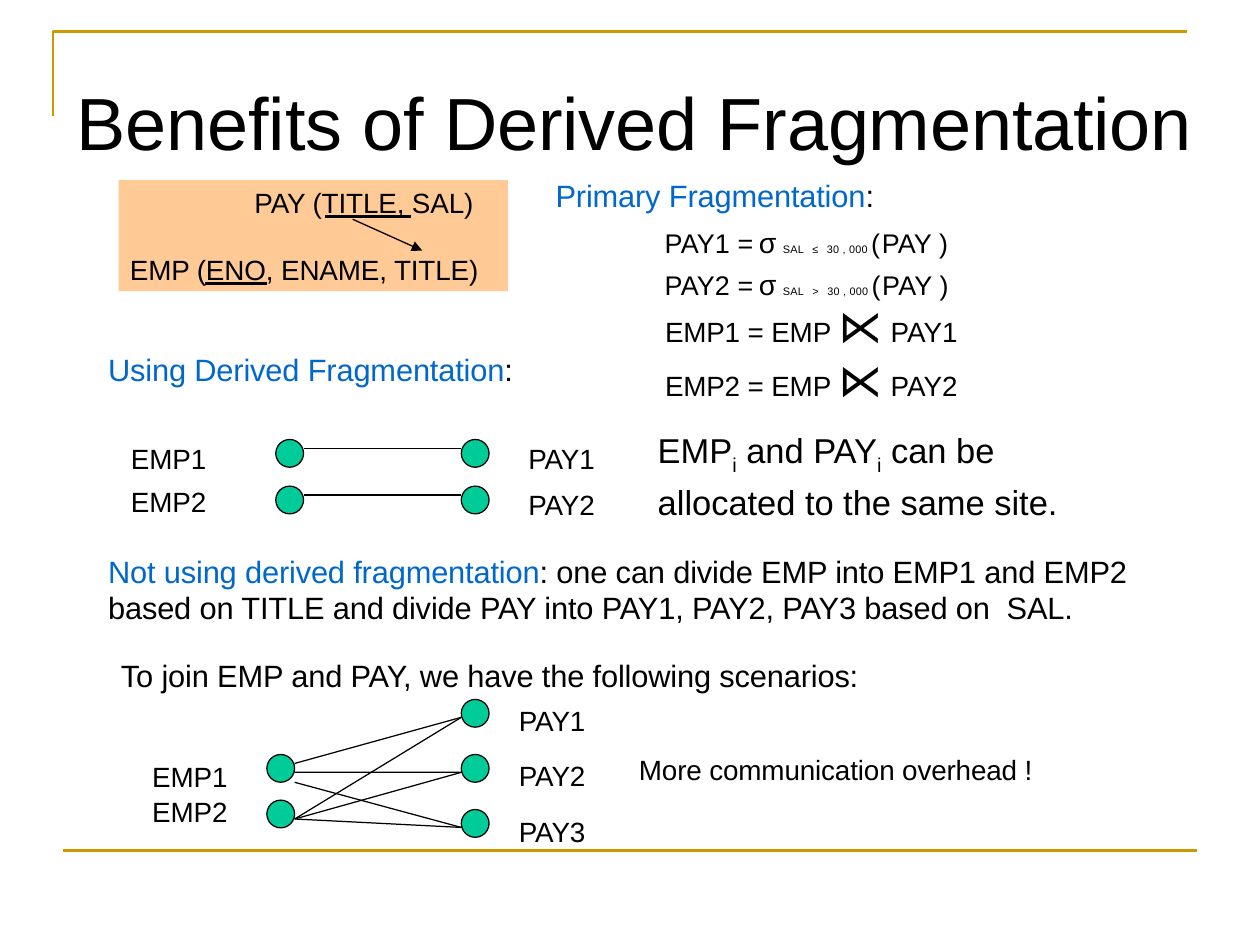
from lxml import etree
from pptx import Presentation
from pptx.dml.color import RGBColor
from pptx.enum.shapes import MSO_CONNECTOR, MSO_SHAPE
from pptx.oxml.ns import qn
from pptx.util import Cm, Pt

LINE = MSO_CONNECTOR.STRAIGHT
OVAL = MSO_SHAPE.OVAL
RECT = MSO_SHAPE.RECTANGLE

THEME = {
    "ink": RGBColor(0, 0, 0),
    "blue": RGBColor(0x00, 0x67, 0xCE),
    "gold": RGBColor(0xCC, 0x99, 0x00),
    "peach": RGBColor(0xFF, 0xCA, 0x95),
    "green": RGBColor(0x00, 0xCC, 0x9A),
    "font": "Arial", "symbol": "Noto Sans CJK JP",
    "title": 42.2, "head": 17.6, "note": 19.7, "label": 15.9,
    "math": 15.4, "sigma": 16.3, "tiny": 6.2, "join": 25.3,
}

deck = Presentation()
deck.slide_width, deck.slide_height = Cm(25.4), Cm(19.05)
slide = deck.slides.add_slide(deck.slide_layouts[6])
shapes = slide.shapes


def write(x, y, w, h, paras, size="label", wrap=False, **layout):
    """Add text; a paragraph is a string or a list of (text, run format)."""
    frame = shapes.add_textbox(Cm(x), Cm(y), Cm(w), Cm(h)).text_frame
    frame.word_wrap = wrap
    for side in ("left", "top", "right", "bottom"):
        setattr(frame, f"margin_{side}", 0)
    for i, runs in enumerate(paras):
        para = frame.add_paragraph() if i else frame.paragraphs[0]
        for name, value in layout.items():
            setattr(para, name, value)
        for text, fmt in [(runs, {})] if isinstance(runs, str) else runs:
            run = para.add_run()
            run.text = text
            look = {"size": Pt(THEME[fmt.get("size", size)]),
                    "name": THEME[fmt.get("font", "font")]}
            for name, value in look.items():
                setattr(run.font, name, value)
            run.font.color.rgb = THEME[fmt.get("color", "ink")]
            props = run.font._element
            props.set("spc", str(fmt.get("spc", -10)))
            if "base" in fmt:
                props.set("baseline", str(fmt["base"]))
            if "font" in fmt:
                for tag in ("a:ea", "a:sym"):
                    etree.SubElement(props, qn(tag), typeface=look["name"])
    return frame


def draw(x1, y1, x2, y2, color="ink", width=0.72):
    line = shapes.add_connector(LINE, Cm(x1), Cm(y1), Cm(x2), Cm(y2))
    line.line.color.rgb = THEME[color]
    line.line.width = Pt(width)
    etree.SubElement(line._element.spPr, qn("a:effectLst"))
    return line


# Slide frame and title
path = shapes.build_freeform(Cm(1.07), Cm(2.34), scale=1)
path.add_line_segments([(Cm(1.07), Cm(0.64)), (Cm(23.93), Cm(0.64))], close=False)
edge = path.convert_to_shape()
edge.shadow.inherit = False
edge.fill.background()
edge.line.color.rgb = THEME["gold"]
edge.line.width = Pt(1.5)
draw(1.27, 17.15, 24.13, 17.15, "gold", 1.5)
write(1.55, 1.54, 22.5, 1.7, ["Benefits of Derived Fragmentation"], "title",
      line_spacing=1.0)

# Relations
panel = shapes.add_shape(RECT, Cm(2.39), Cm(3.63), Cm(7.85), Cm(2.24))
panel.shadow.inherit = False
panel.fill.solid()
panel.fill.fore_color.rgb = THEME["peach"]
panel.line.fill.background()
draw(6.55, 4.37, 8.28, 4.37, width=1.66)
draw(4.14, 5.72, 5.38, 5.72, width=1.66)
write(5.13, 3.74, 4.85, 0.7, ["PAY (TITLE, SAL)"])
write(2.62, 5.09, 7.4, 0.7, ["EMP (ENO, ENAME, TITLE)"])
arrow = draw(7.11, 4.42, 8.51, 5.05, width=0.75)
etree.SubElement(arrow.line._get_or_add_ln(), qn("a:tailEnd"), type="triangle")

# Primary fragmentation
blue = {"color": "blue"}
tiny = {"size": "tiny", "spc": 10}
wide = {"size": "tiny", "spc": 300}
write(11.2, 3.56, 8.4, 0.8, [[("Primary Fragmentation", blue), (":", {})]], "head")
rules = [[(name, {"spc": 10}), (" ", {"spc": 0}), ("= ", {"spc": -120}),
          ("σ ", {"size": "sigma", "spc": -80}),
          ("SAL", tiny), (" ", wide), (sign, tiny), (" ", wide),
          ("30 , 000 ", tiny), ("(", {"spc": 90}), ("PAY )", {"spc": 10})]
         for name, sign in (("PAY1", "≤"), ("PAY2", ">"))]
write(13.4, 4.54, 6.5, 1.7, rules, "math", space_after=Pt(4.5))
joins = [[(f"EMP{n} ", {"spc": -20}), ("= EMP ", {}),
          ("⋉", {"size": "join", "font": "symbol", "spc": 0}),
          (f" PAY{n}", {"spc": 0})] for n in (1, 2)]
write(13.41, 5.99, 9.3, 2.2, joins, line_spacing=Pt(30.9))

# Matching fragments
write(2.18, 7.08, 8.7, 0.8,
      [[("Using Derived Fragmentation", blue), (":", {})]], "head")
write(2.64, 8.71, 2.06, 1.75, ["EMP1", "EMP2"], line_spacing=Pt(24.6))
write(10.65, 8.65, 1.5, 1.9, ["PAY1", "PAY2"], line_spacing=Pt(26.3))
sub = {"base": -25000, "spc": 0}
flat = {"spc": 0}
write(13.26, 8.66, 8.9, 1.9,
      [[("EMP", flat), ("i", sub), (" and PAY", flat), ("i", sub),
        (" can be allocated to the same site.", flat)]],
      "note", True, line_spacing=Pt(26.5))

# Independent fragments
write(2.18, 11.14, 21.2, 1.5,
      [[("Not using derived fragmentation", blue),
        (": one can divide EMP into EMP1 and EMP2 based on TITLE and divide PAY "
         "into PAY1, PAY2, PAY3 based on  SAL.", {})]],
      "head", True, line_spacing=Pt(21))
write(2.44, 13.23, 19.56, 0.8,
      ["To join EMP and PAY, we have the following scenarios:"], "head")
write(3.07, 15.29, 1.8, 1.45, ["EMP1", "EMP2"], line_spacing=Pt(20))
write(10.46, 13.74, 1.5, 3.4, ["PAY1", "PAY2", "PAY3"], line_spacing=Pt(31.7))
write(12.88, 15.18, 8.23, 0.7, ["More communication overhead !"], line_spacing=1.0)

# Nodes and links
SIZE, RIGHT = 0.56, 9.3
pairs = [8.86, 9.8]
pays = [14.1 + 1.11 * i for i in range(3)]
nodes = [(x, y) for y in pairs for x in (5.56, RIGHT)]
nodes += [(5.38, y) for y in (15.21, 16.13)] + [(RIGHT, y) for y in pays]
for x, y in nodes:
    node = shapes.add_shape(OVAL, Cm(x), Cm(y), Cm(SIZE), Cm(SIZE))
    node.shadow.inherit = False
    node.fill.solid()
    node.fill.fore_color.rgb = THEME["green"]
    node.line.color.rgb = THEME["ink"]
    node.line.width = Pt(0.72)
for y in pairs:
    draw(5.56 + SIZE, y + 0.18, RIGHT, y + 0.18)
for starts in ((15.39, 15.57, 15.77), (16.51,) * 3):
    for start, pay in zip(starts, pays):
        draw(5.38 + SIZE, start, RIGHT, pay + 0.36)

deck.save("out.pptx")
